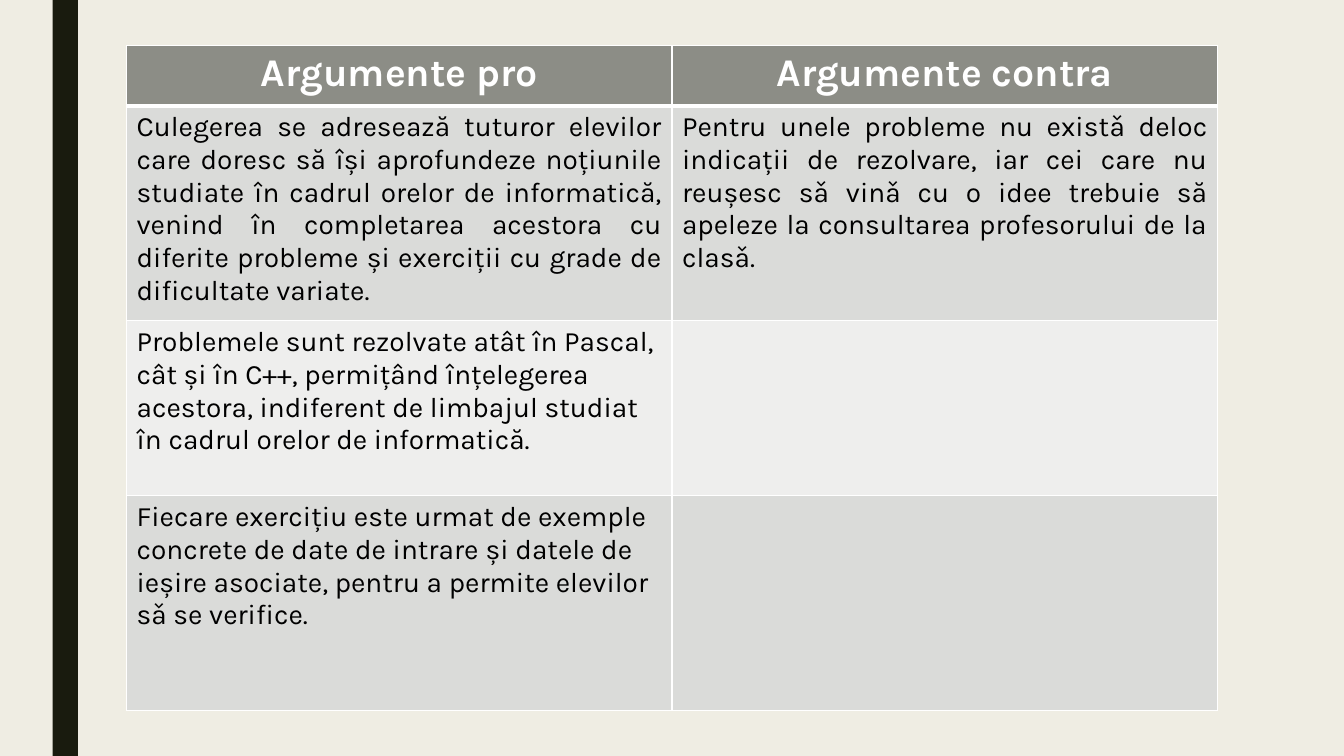
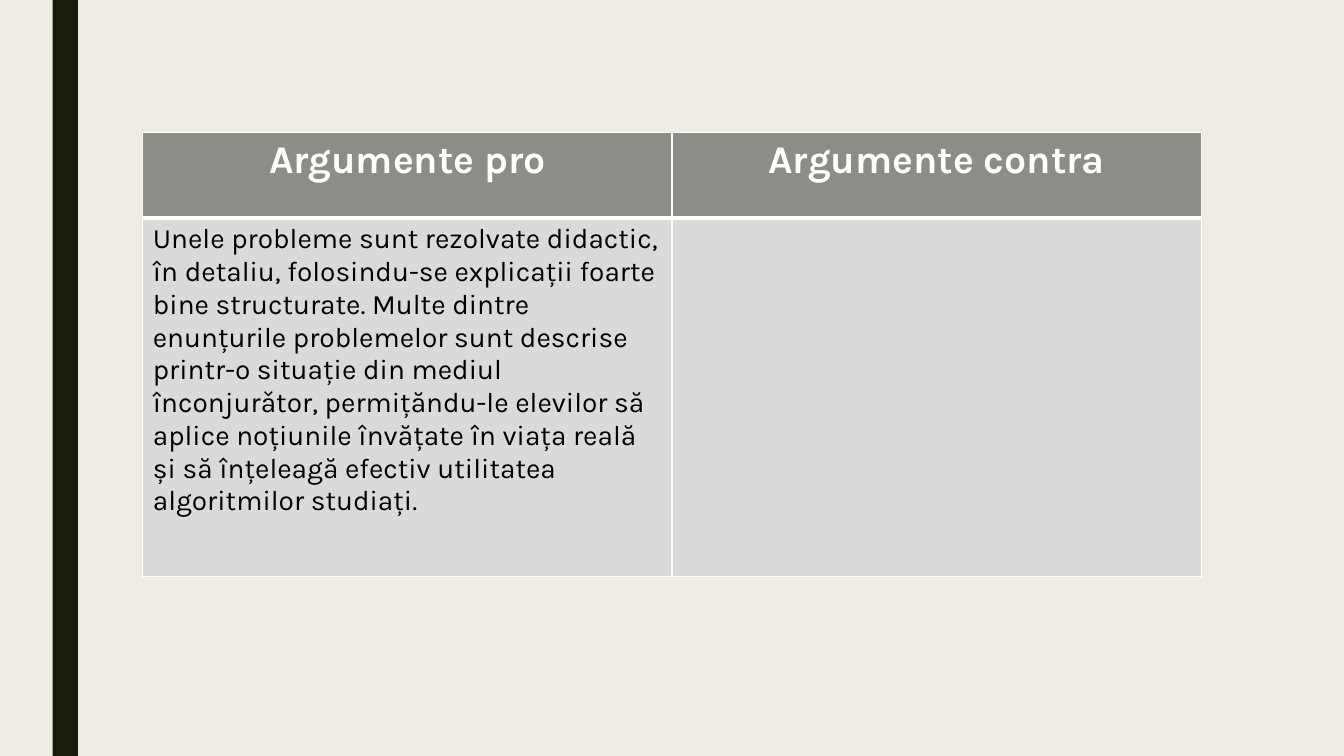
from lxml.etree import SubElement
from pptx import Presentation
from pptx.dml.color import RGBColor
from pptx.enum.lang import MSO_LANGUAGE_ID
from pptx.enum.shapes import MSO_SHAPE
from pptx.enum.text import PP_ALIGN
from pptx.oxml.ns import qn
from pptx.util import Pt


def color(hex_string):
    return RGBColor.from_string(hex_string)


class Deck:
    FONT = "Karla"
    BACKGROUND = "EFEDE3"
    BAND = "191B0E"
    HEADER = "8C8D86"
    ROWS = ("DADBD9", "EEEEED")
    LIGHT = "FFFFFF"
    DARK = "000000"
    HEADINGS = ("Argumente pro", "Argumente contra")

    def __init__(self):
        self.presentation = Presentation()
        self.presentation.slide_width = Pt(960)
        self.presentation.slide_height = Pt(540)
        self.slide = None
        background = self.presentation.slide_master.background.fill
        background.solid()
        background.fore_color.rgb = color(self.BACKGROUND)

    def add_slide(self):
        self.slide = self.presentation.slides.add_slide(self.presentation.slide_layouts[6])
        self.add_band()

    def add_band(self):
        band = self.slide.shapes.add_shape(MSO_SHAPE.RECTANGLE, Pt(37.6), 0, Pt(18), Pt(540))
        band.shadow.inherit = False
        band.fill.solid()
        band.fill.fore_color.rgb = color(self.BAND)
        band.line.fill.background()

    def add_borders(self, cell, top, bottom):
        properties = cell._tc.get_or_add_tcPr()
        for side, width in (("L", 1), ("R", 1), ("T", top), ("B", bottom)):
            line = SubElement(properties, qn(f"a:ln{side}"), w=str(Pt(width)))
            fill = SubElement(line, qn("a:solidFill"))
            SubElement(fill, qn("a:srgbClr"), val=self.LIGHT)

    def format_text(self, cell, text, size, text_color, bold, alignment):
        cell.text_frame.text = text
        for paragraph in cell.text_frame.paragraphs:
            paragraph.alignment = alignment
            for run in paragraph.runs:
                run.font.name = self.FONT
                run.font.size = Pt(size)
                run.font.bold = bold
                run.font.color.rgb = color(text_color)
                run.font.language_id = MSO_LANGUAGE_ID.ROMANIAN

    def add_arguments(self, left, top, column_width, heights, arguments, justified_rows=()):
        rows = [self.HEADINGS, *arguments]
        table = self.slide.shapes.add_table(
            len(rows), 2, Pt(left), Pt(top), Pt(2 * column_width), Pt(sum(heights))
        ).table
        for column in table.columns:
            column.width = Pt(column_width)
        for index, (texts, height) in enumerate(zip(rows, heights)):
            table.rows[index].height = Pt(height)
            is_header = index == 0
            for cell, text in zip(table.rows[index].cells, texts):
                self.add_borders(cell, 3 if index == 1 else 1, 3 if is_header else 1)
                cell.fill.solid()
                if is_header:
                    cell.fill.fore_color.rgb = color(self.HEADER)
                    self.format_text(cell, text, 28, self.LIGHT, True, PP_ALIGN.CENTER)
                else:
                    cell.fill.fore_color.rgb = color(self.ROWS[(index - 1) % 2])
                    alignment = PP_ALIGN.JUSTIFY if index in justified_rows else PP_ALIGN.LEFT
                    if text:
                        self.format_text(cell, text, 20, self.DARK, False, alignment)


def main():
    deck = Deck()

    deck.add_slide()
    deck.add_arguments(
        90.4, 32.4, 389.6, (43.2, 153.5, 125, 153.5),
        [
            (
                "Culegerea se adresează tuturor elevilor care doresc să își aprofundeze "
                "noțiunile studiate în cadrul orelor de informatică, venind în completarea "
                "acestora cu diferite probleme și exerciții cu grade de dificultate variate.",
                "Pentru unele probleme nu existǎ deloc indicaţii de rezolvare, iar cei care "
                "nu reuşesc sǎ vinǎ cu o idee trebuie să apeleze la consultarea profesorului "
                "de la clasǎ.",
            ),
            (
                "Problemele sunt rezolvate atât în Pascal, cât și în C++, permițând "
                "înțelegerea acestora, indiferent de limbajul studiat în cadrul orelor de "
                "informatică.",
                "",
            ),
            (
                "Fiecare exerciţiu este urmat de exemple concrete de date de intrare şi "
                "datele de ieşire asociate, pentru a permite elevilor\nsǎ se verifice.",
                "",
            ),
        ],
        justified_rows=(1,),
    )

    deck.add_slide()
    deck.add_arguments(
        102, 94.8, 378, (60.9, 256.3),
        [
            (
                "Unele probleme sunt rezolvate didactic, în detaliu, folosindu-se explicații "
                "foarte bine structurate. Multe dintre enunţurile problemelor sunt descrise "
                "printr-o situaţie din mediul înconjurǎtor, permițăndu-le elevilor să aplice "
                "noțiunile învățate în viața reală și să înțeleagă efectiv utilitatea "
                "algoritmilor studiați.",
                "",
            ),
        ],
    )

    deck.presentation.save("out.pptx")


if __name__ == "__main__":
    main()
